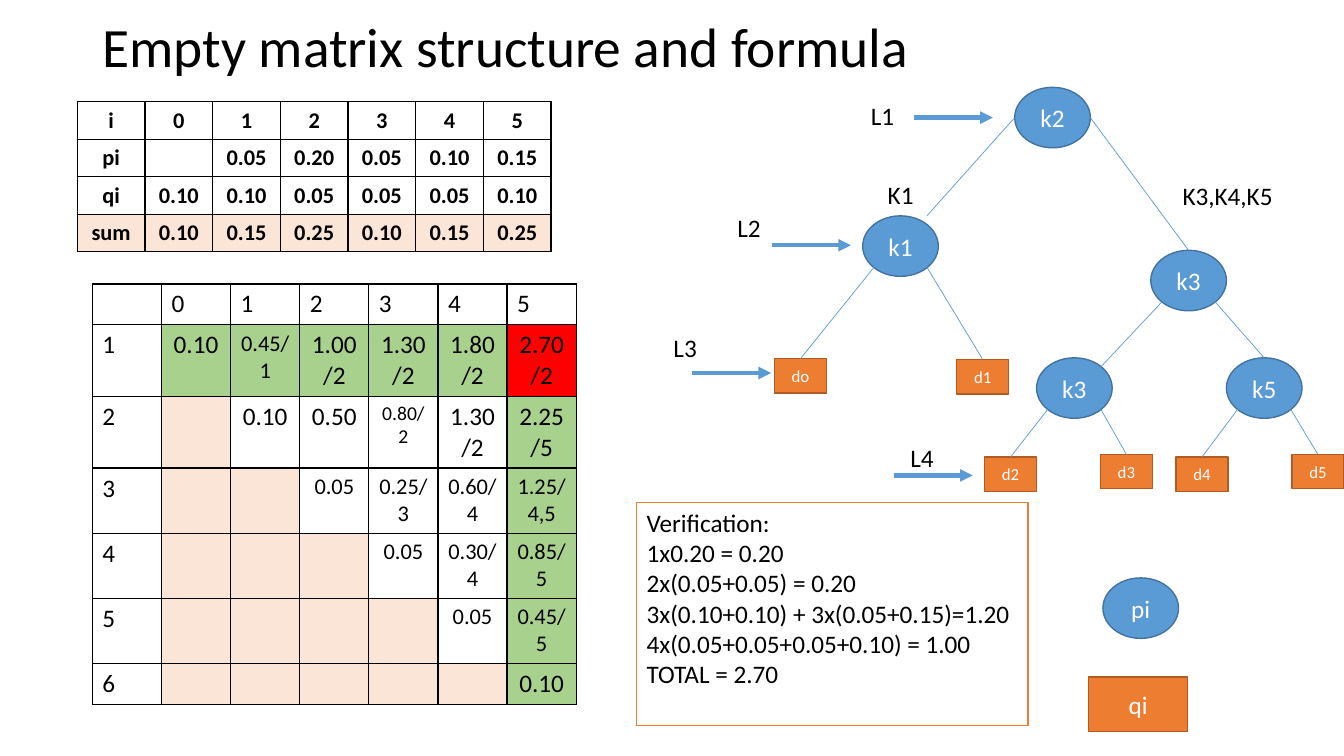
from dataclasses import dataclass

from lxml.etree import SubElement
from pptx import Presentation
from pptx.dml.color import RGBColor
from pptx.enum.shapes import MSO_CONNECTOR, MSO_SHAPE
from pptx.enum.text import MSO_ANCHOR, PP_ALIGN
from pptx.oxml.ns import qn
from pptx.util import Emu, Inches, Pt

BLACK = RGBColor(0x00, 0x00, 0x00)
WHITE = RGBColor(0xFF, 0xFF, 0xFF)
BLUE = RGBColor(0x5B, 0x9B, 0xD5)
DARK_BLUE = RGBColor(0x43, 0x73, 0x9E)
ORANGE = RGBColor(0xED, 0x7D, 0x31)
DARK_ORANGE = RGBColor(0xAF, 0x5C, 0x24)
GREEN = RGBColor(0xA9, 0xD1, 0x8E)
PEACH = RGBColor(0xFB, 0xE5, 0xD6)
RED = RGBColor(0xFF, 0x00, 0x00)

FONT = "Calibri"
WIDTH, HEIGHT = Inches(13.33), Inches(7.5)
COLS, ROWS = 160, 90  # slide grid


def gx(cols: float) -> Emu:
    """Turn grid columns into a length."""
    return Emu(round(WIDTH * cols / COLS))


def gy(rows: float) -> Emu:
    """Turn grid rows into a length."""
    return Emu(round(HEIGHT * rows / ROWS))


@dataclass(frozen=True)
class Node:
    """A labelled shape, placed in grid columns and rows."""
    text: str
    x: float
    y: float
    w: float = 9
    h: float = 7.2
    is_key: bool = True
    size: float = 18

    def port(self, share: tuple[float, float]) -> tuple[float, float]:
        """Return the grid point at a share of the node's box."""
        return self.x + share[0] * self.w, self.y + share[1] * self.h


@dataclass(frozen=True)
class Edge:
    """A tree branch between ports of two nodes."""
    parent: str
    start: tuple[float, float]
    child: str
    end: tuple[float, float] = (0.5, 0)


@dataclass(frozen=True)
class Level:
    """A level label and the start of its arrow."""
    text: str
    x: float
    y: float
    arrow_x: float
    arrow_y: float


def dummy(text: str, x: float, y: float) -> Node:
    """Describe a leaf for a dummy key."""
    return Node(text, x, y, 6.2, 4.1, False, 12)


LEFT, RIGHT = (0, 0.5), (1, 0.5)
LOWER_LEFT, LOWER_RIGHT = (0.15, 0.85), (0.85, 0.85)
ARROW_LENGTH = 9.4

NODES = {
    "root": Node("k2", 120.8, 10.4),
    "k1": Node("k1", 102.7, 25.7),
    "k3": Node("k3", 137, 29.8),
    "inner k3": Node("k3", 123.4, 42.6),
    "k5": Node("k5", 146, 42.6),
    "d0": dummy("do", 92.2, 42.7),
    "d1": dummy("d1", 113.9, 42.8),
    "d2": dummy("d2", 117.2, 54.4),
    "d3": dummy("d3", 131, 54.1),
    "d4": dummy("d4", 140, 54.4),
    "d5": dummy("d5", 153.8, 54.1),
    "pi": Node("pi", 131.3, 68.8),
    "qi": Node("qi", 129.6, 80.6, 11.8, 6.5, False),
}
EDGES = [
    Edge("root", LEFT, "k1", (0.85, 0)),
    Edge("root", RIGHT, "k3"),
    Edge("k3", LOWER_LEFT, "inner k3", (0.85, 0.15)),
    Edge("k3", LOWER_RIGHT, "k5"),
] + [
    Edge(parent, port, leaf)
    for parent, leaves in (("k1", ("d0", "d1")), ("inner k3", ("d2", "d3")), ("k5", ("d4", "d5")))
    for port, leaf in zip((LOWER_LEFT, LOWER_RIGHT), leaves)
]
LEVELS = [
    Level("L1", 102.5, 11.4, 108.8, 14),
    Level("L2", 86.6, 24.7, 91.9, 29.2),
    Level("L3", 79, 39, 82.4, 44.4),
    Level("L4", 107.2, 52.1, 106.4, 56.6),
]
PROBABILITIES = [
    ["i", "0", "1", "2", "3", "4", "5"],
    ["pi", "", "0.05", "0.20", "0.05", "0.10", "0.15"],
    ["qi", "0.10", "0.10", "0.05", "0.05", "0.05", "0.10"],
    ["sum", "0.10", "0.15", "0.25", "0.10", "0.15", "0.25"],
]
COSTS = [
    ["0.10", "0.45/1", "1.00/2", "1.30/2", "1.80/2", "2.70/2"],
    ["0.10", "0.50", "0.80/2", "1.30/2", "2.25/5"],
    ["0.05", "0.25/3", "0.60/4", "1.25/4,5"],
    ["0.05", "0.30/4", "0.85/5"],
    ["0.05", "0.45/5"],
    ["0.10"],
]
VERIFICATION = """Verification: 
1x0.20 = 0.20
2x(0.05+0.05) = 0.20
3x(0.10+0.10) + 3x(0.05+0.15)=1.20
4x(0.05+0.05+0.05+0.10) = 1.00
TOTAL = 2.70"""


def write(tf, text: str, size: float, color=BLACK, align=PP_ALIGN.LEFT, bold=False) -> None:
    """Set the text of a frame and format its runs."""
    tf.text = text
    for p in tf.paragraphs:
        p.alignment = align
        for r in p.runs:
            r.font.name, r.font.size, r.font.bold = FONT, Pt(size), bold
            r.font.color.rgb = color
        if not p.runs:
            SubElement(p._p, qn("a:endParaRPr"), sz=str(size * 100))


def add_box(s, kind, x: float, y: float, w: float, h: float, fill, line):
    """Add a filled, outlined shape without shadow."""
    sp = s.shapes.add_shape(kind, gx(x), gy(y), gx(w), gy(h))
    sp.shadow.inherit = False
    sp.fill.solid()
    sp.fill.fore_color.rgb = fill
    sp.line.color.rgb, sp.line.width = line, Pt(1)
    return sp


def add_node(s, node: Node) -> None:
    """Draw a key as an ellipse or a dummy key as a rectangle."""
    kind, fill, line = ((MSO_SHAPE.OVAL, BLUE, DARK_BLUE) if node.is_key
                        else (MSO_SHAPE.RECTANGLE, ORANGE, DARK_ORANGE))
    sp = add_box(s, kind, node.x, node.y, node.w, node.h, fill, line)
    sp.text_frame.vertical_anchor = MSO_ANCHOR.MIDDLE
    write(sp.text_frame, node.text, node.size, WHITE, PP_ALIGN.CENTER)


def add_line(s, start: tuple[float, float], end: tuple[float, float], width: float, arrow=False) -> None:
    """Draw a blue line, with an arrowhead if wanted."""
    line = s.shapes.add_connector(MSO_CONNECTOR.STRAIGHT, gx(start[0]), gy(start[1]),
                                  gx(end[0]), gy(end[1]))
    line.line.color.rgb, line.line.width = BLUE, Pt(width)
    if arrow:
        SubElement(line.line._get_or_add_ln(), qn("a:tailEnd"), type="triangle")
    SubElement(line._element.spPr, qn("a:effectLst"))


def add_label(s, text: str, x: float, y: float, w: float = 5.3) -> None:
    """Add a one-line label."""
    tf = s.shapes.add_textbox(gx(x), gy(y), gx(w), gy(4.8)).text_frame
    tf.word_wrap = False
    write(tf, text, 18)


def add_grid(s, x: float, y: float, col_width: float, row_heights: list[float]):
    """Add a seven-column table without a banded style."""
    table = s.shapes.add_table(len(row_heights), 7, gx(x), gy(y), gx(7 * col_width),
                               gy(sum(row_heights))).table
    table.first_row = table.horz_banding = False
    for column in table.columns:
        column.width = gx(col_width)
    for row, height in zip(table.rows, row_heights):
        row.height = gy(height)
    return table


def fill_cell(cell, text: str, size: float, fill, align=PP_ALIGN.CENTER, bold=False) -> None:
    """Write a cell with thin black borders and a fill."""
    write(cell.text_frame, text, size, BLACK, align, bold)
    tc_pr = cell._tc.get_or_add_tcPr()
    for side in ("lnL", "lnR", "lnT", "lnB"):
        ln = SubElement(tc_pr, qn(f"a:{side}"), w=str(Pt(1)))
        SubElement(SubElement(ln, qn("a:solidFill")), qn("a:srgbClr"), val=str(BLACK))
    cell.fill.solid()
    cell.fill.fore_color.rgb = fill


def add_probabilities(s) -> None:
    """Draw the table of probabilities and their sums."""
    table = add_grid(s, 9.2, 12.1, 8.06, [4.41] * 4)
    for i, row in enumerate(PROBABILITIES):
        for j, text in enumerate(row):
            fill_cell(table.cell(i, j), text, 16, PEACH if i == 3 else WHITE, bold=True)


def add_costs(s) -> None:
    """Draw the triangular cost matrix."""
    table = add_grid(s, 11, 33.8, 8.23, [4.85, 8.5, 8.5, 7.75, 7.75, 7.75, 4.85])
    small = {(1, 2): 16, (2, 4): 14}
    for k in range(7):
        fill_cell(table.cell(0, k), str(k - 1) if k else "", 18, WHITE, PP_ALIGN.LEFT)
    for i, costs in enumerate(COSTS, 1):
        fill_cell(table.cell(i, 0), str(i), 18, WHITE, PP_ALIGN.LEFT)
        for j, text in enumerate([""] * (i - 1) + costs, 1):
            fill = (RED if (i, j) == (1, 6) else PEACH if j < i
                    else GREEN if i == 1 or j == 6 else WHITE)
            size = small.get((i, j), 16 if 3 <= i <= 5 else 18)
            fill_cell(table.cell(i, j), text, size, fill)


prs = Presentation()
prs.slide_width, prs.slide_height = WIDTH, HEIGHT
s = prs.slides.add_slide(prs.slide_layouts[5])

title = s.shapes.title
title.left, title.top, title.width, title.height = gx(11), gy(1.4), gx(138), gy(9)
title.text_frame.vertical_anchor = MSO_ANCHOR.MIDDLE
write(title.text_frame, "Empty matrix structure and formula", 39.6)
title.text_frame.paragraphs[0].line_spacing = 0.9

add_costs(s)
add_probabilities(s)
for node in NODES.values():
    add_node(s, node)
for edge in EDGES:
    add_line(s, NODES[edge.parent].port(edge.start), NODES[edge.child].port(edge.end), 0.5)
for level in LEVELS:
    add_label(s, level.text, level.x, level.y)
    add_line(s, (level.arrow_x, level.arrow_y),
             (level.arrow_x + ARROW_LENGTH, level.arrow_y), 3, arrow=True)
add_label(s, "K1", 104.5, 20.8, 5.5)
add_label(s, "K3,K4,K5", 139.6, 20.9, 13.3)

box = add_box(s, MSO_SHAPE.RECTANGLE, 75.8, 59.8, 46.6, 26.6, WHITE, ORANGE)
box.text_frame.vertical_anchor = MSO_ANCHOR.TOP
write(box.text_frame, VERIFICATION, 18)

prs.save("out.pptx")
